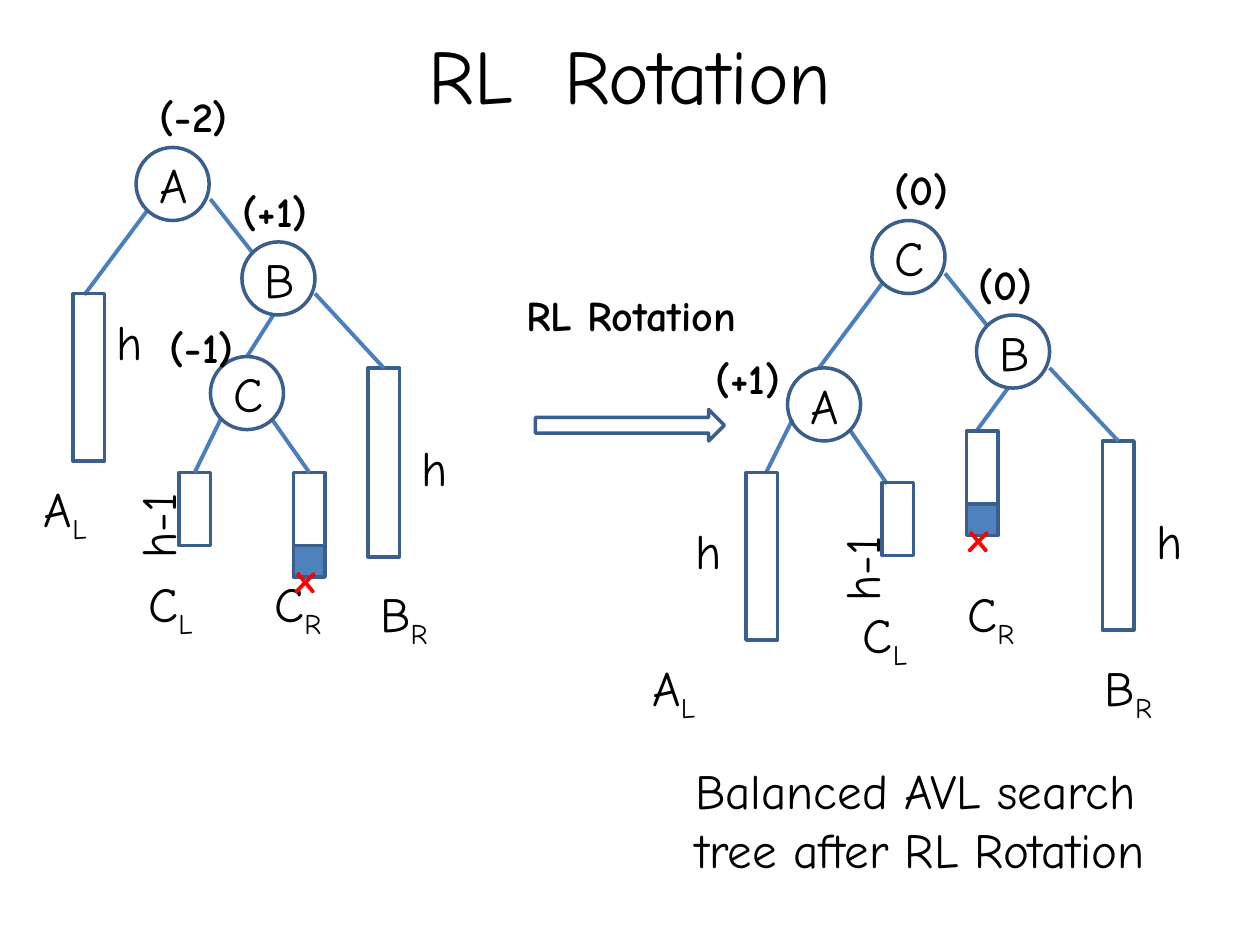
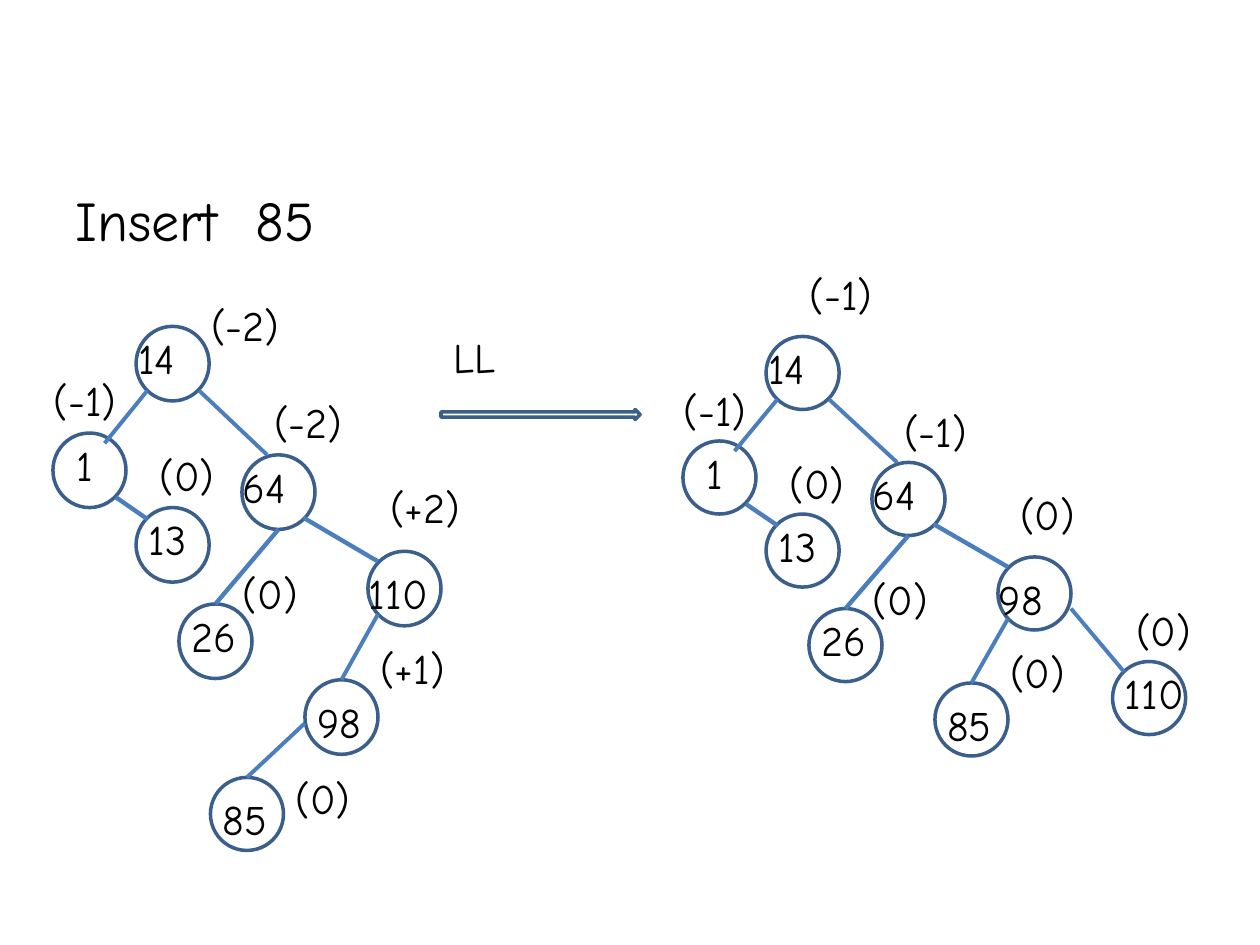
import lxml.etree
import pptx
import pptx.dml.color
import pptx.enum.shapes
import pptx.enum.text
import pptx.oxml.ns
import pptx.util

Inches = pptx.util.Inches
Pt = pptx.util.Pt
RGBColor = pptx.dml.color.RGBColor
SHAPE = pptx.enum.shapes.MSO_SHAPE
ALIGN = pptx.enum.text.PP_ALIGN
qn = pptx.oxml.ns.qn

BLACK = RGBColor(0x00, 0x00, 0x00)
RED = RGBColor(0xFF, 0x00, 0x00)
CELL_BLUE = RGBColor(0x4F, 0x81, 0xBD)
OUTLINE_BLUE = RGBColor(0x3A, 0x5F, 0x8C)
EDGE_BLUE = RGBColor(0x4B, 0x7E, 0xBC)
FONT = "Comic Neue"
NODE = 0.58
BAR_WIDTH = 0.25


def set_format(target, values):
    for name, value in values.items():
        setattr(target, name, value)


def place(shape, left, top, width, height):
    box = {"left": left, "top": top, "width": width, "height": height}
    set_format(shape, {name: Inches(value) for name, value in box.items()})


class TreeDeck:
    """Holds the drawing style and the slide being drawn."""

    def __init__(self):
        self.presentation = pptx.Presentation()
        set_format(self.presentation,
                   {"slide_width": Inches(10), "slide_height": Inches(7.5)})
        self.slide = None

    def add_slide(self, layout_name):
        layout = self.presentation.slide_layouts.get_by_name(layout_name)
        self.slide = self.presentation.slides.add_slide(layout)

    def add_words(self, paragraph, words, size, bold=False, color=BLACK, subscript=""):
        for part in filter(None, (words, subscript)):
            run = paragraph.add_run()
            run.text = part
            set_format(run.font, {"name": FONT, "size": Pt(size), "bold": bold})
            run.font.color.rgb = color
            if part is subscript:
                run.font._element.set("baseline", "-25000")

    def title(self, words):
        title = self.slide.shapes.title
        place(title, 0.5, 0.17, 9, 0.83)
        title.text_frame.vertical_anchor = pptx.enum.text.MSO_ANCHOR.MIDDLE
        paragraph = title.text_frame.paragraphs[0]
        paragraph.alignment = ALIGN.CENTER
        self.add_words(paragraph, words, 44)

    def body(self, words):
        """Fill the body placeholder and drop the unused title."""
        title = self.slide.shapes.title
        title._element.getparent().remove(title._element)
        body = self.slide.placeholders[1]
        place(body, 0.5, 1.42, 9, 5.75)
        paragraph = body.text_frame.paragraphs[0]
        properties = paragraph._p.get_or_add_pPr()
        properties.set("marL", str(Inches(0.38)))
        properties.set("indent", str(Inches(-0.38)))
        lxml.etree.SubElement(properties, qn("a:buNone"))
        paragraph.space_before = Pt(0)
        self.add_words(paragraph, words, 32)

    def text(self, words, left, top, width, height=0.5, size=24,
             rotation=0, margin=0.1, **style):
        box = self.slide.shapes.add_textbox(0, 0, 0, 0)
        place(box, left, top, width, height)
        box.rotation = rotation
        set_format(box.text_frame, {
            "word_wrap": True,
            "margin_left": Inches(margin),
            "auto_size": pptx.enum.text.MSO_AUTO_SIZE.SHAPE_TO_FIT_TEXT,
        })
        self.add_words(box.text_frame.paragraphs[0], words, size, **style)

    def outline(self, kind, left, top, width, height, fill=None):
        shape = self.slide.shapes.add_shape(
            kind, *map(Inches, (left, top, width, height)))
        shape.shadow.inherit = False
        if fill is None:
            shape.fill.background()
        else:
            shape.fill.solid()
            shape.fill.fore_color.rgb = fill
        shape.line.color.rgb = OUTLINE_BLUE
        shape.line.width = Pt(2)
        return shape

    def node(self, left, top, letter="", height=NODE):
        circle = self.outline(SHAPE.OVAL, left, top, NODE, height)
        if letter:
            circle.text_frame.vertical_anchor = pptx.enum.text.MSO_ANCHOR.MIDDLE
            paragraph = circle.text_frame.paragraphs[0]
            paragraph.alignment = ALIGN.CENTER
            self.add_words(paragraph, letter, 28)

    def bar(self, left, top, height, edge_start=None):
        """Draw a subtree bar, with an edge joined to its top if asked."""
        bar = self.outline(SHAPE.RECTANGLE, left, top, BAR_WIDTH, height)
        if edge_start:
            edge = self.edge(edge_start, (left + BAR_WIDTH / 2, top))
            edge.end_connect(bar, 0)

    def inserted_cell(self, left, top, mark_top):
        """Blue cell under a bar, marked with a red x."""
        self.outline(SHAPE.RECTANGLE, left, top, BAR_WIDTH, 0.25, CELL_BLUE)
        self.text("x", left - 0.08, mark_top, 0.5, bold=True, color=RED)

    def edge(self, start, end, width=2.25):
        edge = self.slide.shapes.add_connector(
            pptx.enum.shapes.MSO_CONNECTOR.STRAIGHT, *map(Inches, (*start, *end)))
        edge.line.color.rgb = EDGE_BLUE
        edge.line.width = Pt(width)
        lxml.etree.SubElement(edge._element.spPr, qn("a:effectLst"))
        return edge

    def letter_tree(self, nodes, edges, bars, balances, heights, names):
        for edge in edges:
            self.edge(*edge)
        for bar in bars:
            self.bar(*bar)
        for letter, left, top in nodes:
            self.node(left, top, letter)
        for words, left, top, width in balances:
            self.text(words, left, top, width, bold=True)
        for left, top in heights:
            self.text("h", left, top, 0.33, 0.57, 28)
        for name, left, top in names:
            self.text(name[0], left, top, 0.83, 0.57, 28, subscript=name[1])

    def number_tree(self, left, top, stretch, root_balance, balances, lower_keys):
        """Draw the six nodes both trees share, measured from the root circle."""
        def at(x, y):
            return left + x, top + y * stretch

        node_places = [(0, 0), (-0.66, 0.83), (0.84, 1), (0, 1.41),
                       (0.34, 2.16), (1.84, 1.75), (1.34, 2.75)]
        for x, y in node_places:
            self.node(*at(x, y), height=NODE * stretch)

        for start, end, width in [
            ((0.09, 0.5), (-0.25, 0.91), 2.25),
            ((0.5, 0.5), (1.04, 1), 2.25),
            ((-0.16, 1.33), (0.09, 1.5), 2.5),
            ((1.13, 1.58), (0.63, 2.16), 2.5),
            ((1.33, 1.49), (1.92, 1.83), 2.5),
            ((1.92, 2.24), (1.63, 2.75), 2.25),
        ]:
            self.edge(at(*start), at(*end), width)

        keys = ["14", "64", "13", "26", *lower_keys]
        key_places = [(-0.08, 0), (0.75, 1), (0, 1.41), (0.34, 2.16),
                      (1.75, 1.83), (1.34, 2.83)]
        for key, (x, y) in zip(keys, key_places):
            self.text(key, *at(x, y), 1 if len(key) > 2 else 0.67)
        self.text("1", *at(-0.75, 0.83), 0.67, margin=0.28)

        balance_places = [(-0.75, 0.33), (1, 0.5), (0.09, 0.91),
                          (0.75, 1.83), (1.92, 1.16), (1.84, 2.41)]
        for words, (x, y) in zip(balances, balance_places):
            self.text(words, *at(x, y), 0.83)
        self.text(*root_balance, 0.83)


def draw_rl_rotation(deck):
    deck.add_slide("Title Only")
    deck.title("RL  Rotation")
    deck.letter_tree(
        nodes=[("A", 1.08, 1.17), ("B", 1.92, 1.92), ("C", 1.67, 2.83)],
        edges=[((1.96, 2.83), (2.17, 2.5)), ((1.67, 1.58), (2, 2)),
               ((1.17, 1.67), (0.67, 2.34))],
        bars=[(0.58, 2.33, 1.33), (1.42, 3.75, 0.58, (1.75, 3.33)),
              (2.33, 3.75, 0.58, (2.16, 3.33)), (2.92, 2.92, 1.5, (2.5, 2.33))],
        balances=[("(-2)", 1.17, 0.67, 1.25), ("(+1)", 1.83, 1.42, 1.25),
                  ("(-1)", 1.25, 2.5, 1)],
        heights=[(0.83, 2.42), (3.25, 3.42)],
        names=[("AL", 0.25, 3.75), ("CL", 1.08, 4.5),
               ("CR", 2.08, 4.5), ("BR", 2.92, 4.58)])
    deck.letter_tree(
        nodes=[("C", 6.92, 1.75), ("B", 7.75, 2.5), ("A", 6.25, 2.92)],
        edges=[((7.5, 2.17), (7.84, 2.59)), ((7, 2.25), (6.5, 2.92)),
               ((8, 3.08), (7.75, 3.42)), ((6.29, 3.33), (6.08, 3.75)),
               ((6.75, 3.42), (7.04, 3.84))],
        bars=[(5.92, 3.75, 1.33), (7, 3.83, 0.58), (7.67, 3.42, 0.58),
              (8.75, 3.5, 1.5, (8.33, 2.92))],
        balances=[("(0)", 7, 1.25, 1.25), ("(0)", 7.67, 2, 1.25),
                  ("(+1)", 5.58, 2.75, 0.92)],
        heights=[(5.42, 4.08), (9.08, 4)],
        names=[("AL", 5.08, 5.17), ("CL", 6.75, 4.75),
               ("CR", 7.58, 4.58), ("BR", 8.67, 5.17)])
    for left, top in [(0.58, 3.58), (6.17, 3.92)]:
        deck.text("h-1", left, top, 1.33, 0.57, 28, rotation=270)
    deck.inserted_cell(2.33, 4.33, mark_top=4.33)
    deck.inserted_cell(7.67, 4, mark_top=4)
    deck.outline(SHAPE.RIGHT_ARROW, 4.25, 3.25, 1.5, 0.25)
    deck.text("RL Rotation", 4.08, 2.25, 2.17, bold=True)
    deck.text("Balanced AVL search tree after RL Rotation", 5.42, 5.99, 4.33, 1.04, 28)


def draw_insertion(deck):
    deck.add_slide("Title and Content")
    deck.body("Insert  85")
    deck.number_tree(
        1.08, 2.59, 1.02, root_balance=("(-2)", 1.58, 2.33),
        balances=["(-1)", "(-2)", "(0)", "(0)", "(+2)", "(+1)"],
        lower_keys=["110", "98"])
    deck.node(1.67, 6.17)
    deck.edge((2.42, 5.74), (1.96, 6.17))
    deck.text("85", 1.67, 6.25, 0.83)
    deck.text("(0)", 2.25, 6.08, 0.83)

    deck.number_tree(
        6.08, 2.67, 1, root_balance=("(-1)", 6.33, 2.08),
        balances=["(-1)", "(-1)", "(0)", "(0)", "(0)", "(0)"],
        lower_keys=["98", "85"])
    deck.node(8.83, 5.25)
    deck.edge((8.5, 4.83), (8.92, 5.33))
    deck.text("110", 8.83, 5.25, 0.83)
    deck.text("(0)", 8.92, 4.75, 0.83)

    deck.outline(SHAPE.RIGHT_ARROW, 3.5, 3.25, 1.58, 0.08)
    deck.text("LL", 3.5, 2.58, 1.5)


def main():
    deck = TreeDeck()
    draw_rl_rotation(deck)
    draw_insertion(deck)
    deck.presentation.save("out.pptx")


if __name__ == "__main__":
    main()
